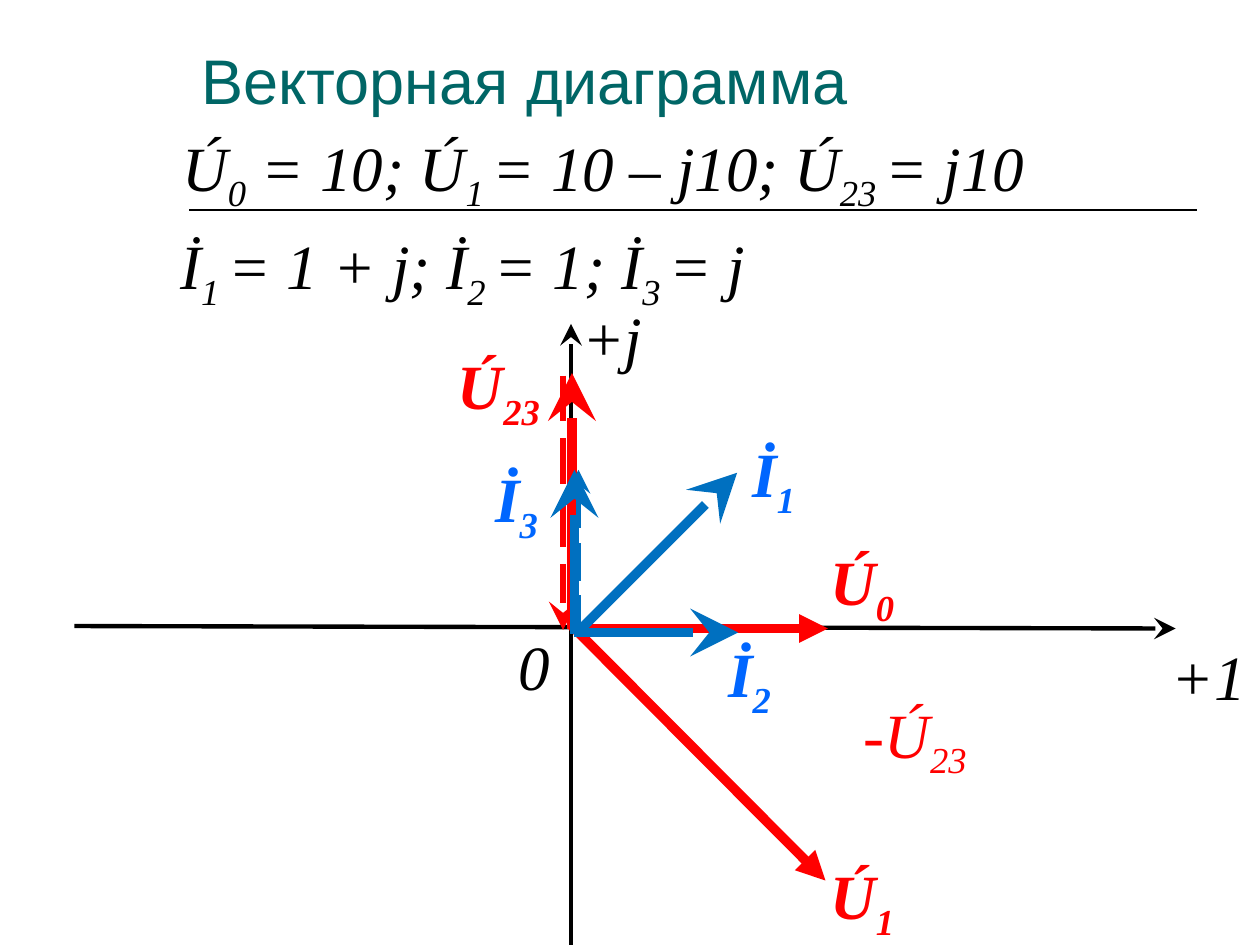
import pptx
import pptx.dml.color
import pptx.enum.dml
import pptx.enum.shapes
import pptx.enum.text
import pptx.oxml.ns
import pptx.util
from dataclasses import dataclass
from lxml import etree

Cm = pptx.util.Cm
Pt = pptx.util.Pt


@dataclass(frozen=True)
class Theme:
    title_font: str = "Arial"
    math_font: str = "Times New Roman"
    text_size: int = 36
    title: str = "006666"
    ink: str = "000000"
    voltage: str = "FF0000"
    current: str = "0070C0"
    current_label: str = "0066FF"
    rule_width: float = 1
    axis_width: float = 2.5
    vector_width: float = 5.5


THEME = Theme()
LINE_HEIGHT = 1.78
SUBSCRIPT_HEIGHT = 2.0
HEAD_SIZES = {"stealth": "lg", "triangle": "med"}


def rgb(color):
    return pptx.dml.color.RGBColor.from_string(color)


def style_run(run, font_name, color, bold=False, italic=False):
    run.font.name = font_name
    run.font.size = Pt(THEME.text_size)
    run.font.bold = bold
    run.font.italic = italic
    run.font.color.rgb = rgb(color)


def add_title(slide, text, left, top, width, height):
    shape = slide.shapes.add_textbox(Cm(left), Cm(top), Cm(width), Cm(height))
    text_frame = shape.text_frame
    text_frame.word_wrap = True
    text_frame.vertical_anchor = pptx.enum.text.MSO_ANCHOR.BOTTOM
    text_frame.text = text
    style_run(text_frame.paragraphs[0].runs[0], THEME.title_font, THEME.title)


def add_math(slide, text, left, top, width, color=THEME.ink, bold=False):
    """Write italic maths; every second part between bars is a subscript."""
    parts = text.split("|")
    height = SUBSCRIPT_HEIGHT if len(parts) > 1 else LINE_HEIGHT
    shape = slide.shapes.add_textbox(Cm(left), Cm(top), Cm(width), Cm(height))
    text_frame = shape.text_frame
    text_frame.word_wrap = False
    text_frame.auto_size = pptx.enum.text.MSO_AUTO_SIZE.SHAPE_TO_FIT_TEXT
    paragraph = text_frame.paragraphs[0]
    for index, part in enumerate(parts):
        if not part:
            continue
        run = paragraph.add_run()
        run.text = part
        style_run(run, THEME.math_font, color, bold, italic=True)
        if index % 2:
            run.font._element.set("baseline", "-25000")


def add_line(slide, start, end, color, width, head=None, dashed=False):
    connector = slide.shapes.add_connector(
        pptx.enum.shapes.MSO_CONNECTOR.STRAIGHT, *map(Cm, start + end))
    connector.line.color.rgb = rgb(color)
    connector.line.width = Pt(width)
    if dashed:
        connector.line.dash_style = pptx.enum.dml.MSO_LINE.LONG_DASH
    if head:
        line = connector.line._get_or_add_ln()
        size = HEAD_SIZES[head]
        etree.SubElement(line, pptx.oxml.ns.qn("a:tailEnd"),
                         type=head, w=size, len=size)
    properties = connector._element.spPr
    etree.SubElement(properties, pptx.oxml.ns.qn("a:effectLst"))


def add_header(slide):
    add_line(slide, (3.81, 4.24), (24.13, 4.24), THEME.ink, THEME.rule_width)
    add_title(slide, "Векторная диаграмма", 3.81, 0.84, 20.32, 1.65)
    add_math(slide, "İ|1 |= 1 + j; İ|2 |= 1; İ|3 |= j", 3.38, 4.45, 11.95)
    add_math(slide, "Ú|0| = 10; Ú|1 |= 10 – j10; Ú|23 |= j10", 3.43, 2.46, 17.5)


def add_axes(slide):
    for start, end in (((11.51, 19.05), (11.51, 6.53)),
                       ((1.5, 12.62), (23.7, 12.67))):
        add_line(slide, start, end, THEME.ink, THEME.axis_width, "stealth")
    add_math(slide, "0", 10.21, 12.52, 1.16)
    add_math(slide, "+1", 23.37, 12.73, 2.02)
    add_math(slide, "+j", 11.49, 5.89, 1.8)


def add_vectors(slide):
    red, blue, wide = THEME.voltage, THEME.current, THEME.vector_width
    vectors = (
        # start, end, color, width, head, dashed
        ((11.53, 12.67), (11.53, 7.52), red, wide, "stealth", False),
        ((11.35, 7.57), (11.35, 12.7), red, 3.25, "stealth", True),
        ((11.53, 12.62), (16.64, 17.75), red, wide, "triangle", False),
        ((11.53, 12.67), (16.69, 12.67), red, wide, "triangle", False),
        ((11.58, 12.78), (11.58, 9.47), blue, wide, "stealth", False),
        ((11.58, 12.75), (14.88, 12.75), blue, wide, "stealth", False),
        ((11.66, 12.78), (11.66, 9.47), blue, 2.75, "stealth", True),
        ((11.61, 12.78), (14.86, 9.53), blue, wide, "stealth", False),
    )
    for vector in vectors:
        add_line(slide, *vector)


def add_vector_labels(slide):
    red, blue = THEME.voltage, THEME.current_label
    labels = (
        # text, left, top, width, color, bold
        ("Ú|23", 8.98, 6.86, 2.2, red, True),
        ("Ú|0", 16.49, 10.82, 1.88, red, True),
        ("Ú|1", 16.49, 17.15, 1.88, red, True),
        ("İ|1", 14.92, 8.64, 1.42, blue, True),
        ("İ|2", 14.43, 12.67, 1.42, blue, True),
        ("İ|3", 9.73, 9.14, 1.42, blue, True),
        ("-Ú|23", 17.16, 13.89, 2.64, red, False),
    )
    for label in labels:
        add_math(slide, *label)


def main():
    presentation = pptx.Presentation()
    presentation.slide_width = Cm(25.4)
    presentation.slide_height = Cm(19.05)
    slide = presentation.slides.add_slide(presentation.slide_layouts[6])
    add_header(slide)
    add_axes(slide)
    add_vectors(slide)
    add_vector_labels(slide)
    presentation.save("out.pptx")


if __name__ == "__main__":
    main()
